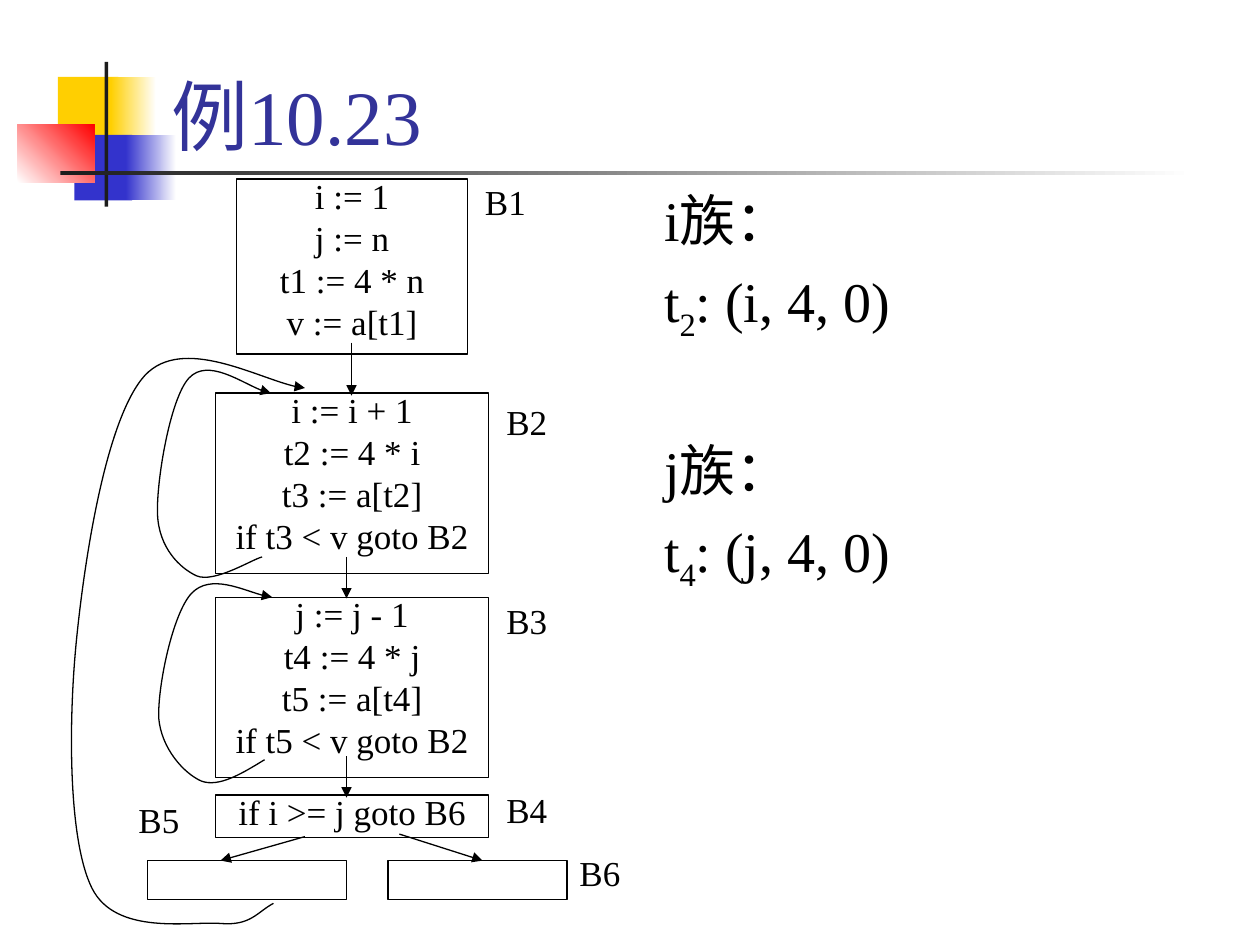
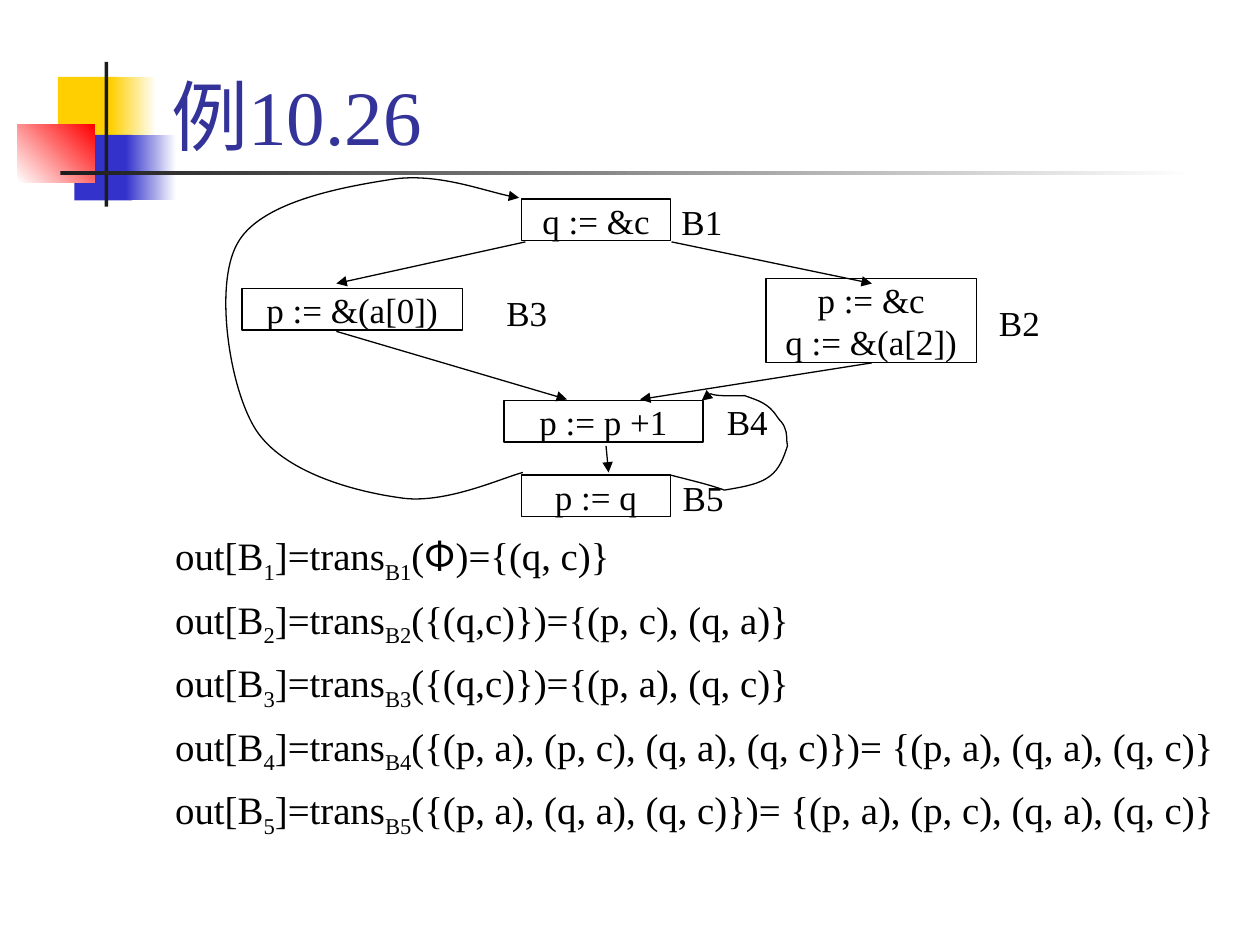
from dataclasses import dataclass
from itertools import groupby

from lxml import etree
from pptx import Presentation
from pptx.dml.color import RGBColor
from pptx.enum.shapes import MSO_CONNECTOR, MSO_SHAPE
from pptx.enum.text import MSO_ANCHOR, MSO_AUTO_SIZE, PP_ALIGN
from pptx.oxml.ns import qn
from pptx.util import Inches, Pt

RECTANGLE = MSO_SHAPE.RECTANGLE
STRAIGHT = MSO_CONNECTOR.STRAIGHT
LEFT, CENTER = PP_ALIGN.LEFT, PP_ALIGN.CENTER
TOP, BOTTOM = MSO_ANCHOR.TOP, MSO_ANCHOR.BOTTOM
NO_FIT = MSO_AUTO_SIZE.NONE
COLUMNS, ROWS = 100, 75
TITLE_AREA = (12.6, 0.8, 85.2, 12.5)
HANGING_INDENT = Inches(0.38)


@dataclass(frozen=True)
class Theme:
    latin: str = "Times New Roman"
    asian: str = "Noto Sans CJK SC"
    ink: str = "000000"
    title: str = "333399"
    paper: str = "FFFFFF"
    yellow: str = "FFCF01"
    blue: str = "3333CC"
    red: str = "FF0000"
    bar: str = "1C1C1C"
    title_size: float = 44
    family_size: float = 32
    equation_size: float = 22.2
    code_size: float = 20
    line_width: float = 0.75


THEME = Theme()
TIGHT = {"line_spacing": 0.9, "space_before": Pt(2.5)}
PLAIN = {"line_spacing": 1.0, "space_before": Pt(0)}
NO_MARGINS = dict.fromkeys(
    ("margin_left", "margin_top", "margin_right", "margin_bottom"), 0)


def assign(target, values):
    for attribute, value in values.items():
        setattr(target, attribute, value)


def rgb(value):
    return RGBColor.from_string(value)


class Deck:
    def __init__(self, theme):
        self.theme = theme
        self.file = Presentation()
        assign(self.file, {"slide_width": Inches(10), "slide_height": Inches(7.5)})
        self.layout = self.file.slide_layouts[1]
        self.place(self.layout.placeholders[0], TITLE_AREA)
        self.slide = None

    def x(self, column):
        return round(self.file.slide_width * column / COLUMNS)

    def y(self, row):
        return round(self.file.slide_height * row / ROWS)

    def point(self, column, row):
        return self.x(column), self.y(row)

    def area(self, left, top, width, height):
        return self.point(left, top) + self.point(width, height)

    def place(self, shape, area):
        assign(shape, dict(zip(("left", "top", "width", "height"), self.area(*area))))

    def new_slide(self, title):
        self.slide = self.file.slides.add_slide(self.layout)
        frame = self.slide.shapes.title.text_frame
        assign(frame, {"vertical_anchor": BOTTOM, "auto_size": NO_FIT})
        frame.paragraphs[0].alignment = LEFT
        self.add_runs(frame.paragraphs[0], title, self.theme.title_size, self.theme.title)

    def add_runs(self, paragraph, text, size, color=None):
        for index, part in enumerate(text.split("|")):
            for symbolic, letters in groupby(part, lambda letter: letter == "Φ"):
                run = paragraph.add_run()
                run.text = "".join(letters)
                face = self.theme.asian if symbolic else self.theme.latin
                assign(run.font, {"size": Pt(size), "name": face})
                run.font.color.rgb = rgb(color or self.theme.ink)
                properties = run.font._element
                etree.SubElement(properties, qn("a:ea"), typeface=self.theme.asian)
                if index % 2:
                    properties.set("baseline", "-25000")

    def fill_frame(self, frame, lines, size, spacing, alignment):
        for index, line in enumerate(lines):
            paragraph = frame.add_paragraph() if index else frame.paragraphs[0]
            assign(paragraph, {"alignment": alignment, **spacing})
            if not index:
                paragraph.space_before = Pt(0)
            self.add_runs(paragraph, line, size)

    def body(self, area, lines, size, spacing):
        holder = self.slide.placeholders[1]
        self.place(holder, area)
        frame = holder.text_frame
        assign(frame, {"auto_size": NO_FIT, "vertical_anchor": TOP, "word_wrap": True})
        self.fill_frame(frame, lines, size, spacing, LEFT)
        for paragraph in frame.paragraphs:
            properties = paragraph._p.get_or_add_pPr()
            properties.set("marL", str(HANGING_INDENT))
            properties.set("indent", str(-HANGING_INDENT))
            etree.SubElement(properties, qn("a:buNone"))
        return frame

    def outline(self, shape, arrow=False):
        shape.line.color.rgb = rgb(self.theme.ink)
        shape.line.width = Pt(self.theme.line_width)
        if arrow:
            etree.SubElement(shape.line._get_or_add_ln(), qn("a:tailEnd"), type="triangle")

    def block(self, area, lines=(), spacing=PLAIN):
        shape = self.slide.shapes.add_shape(RECTANGLE, *self.area(*area))
        shape.shadow.inherit = False
        shape.fill.background()
        self.outline(shape)
        assign(shape.text_frame, {**NO_MARGINS, "vertical_anchor": TOP, "word_wrap": True})
        self.fill_frame(shape.text_frame, lines, self.theme.code_size, spacing, CENTER)

    def label(self, text, column, row):
        box = self.slide.shapes.add_textbox(*self.area(column, row, 5.8, 4.4))
        box.text_frame.word_wrap = True
        self.fill_frame(box.text_frame, [text], self.theme.code_size, TIGHT, LEFT)

    def arrow(self, start, end):
        line = self.slide.shapes.add_connector(STRAIGHT, *self.point(*start), *self.point(*end))
        self.outline(line, arrow=True)
        etree.SubElement(line._element.spPr, qn("a:effectLst"))

    def curve(self, start, *controls):
        builder = self.slide.shapes.build_freeform(*self.point(*start))
        builder.add_line_segments([self.point(*spot) for spot in controls], close=False)
        shape = builder.convert_to_shape()
        geometry = shape._element.find(".//" + qn("a:path"))
        segments = geometry.findall(qn("a:lnTo"))
        for first in range(0, len(segments), 3):
            bezier = etree.SubElement(geometry, qn("a:cubicBezTo"))
            for segment in segments[first:first + 3]:
                bezier.append(segment[0])
                geometry.remove(segment)
        shape.shadow.inherit = False
        shape.fill.background()
        self.outline(shape, arrow=True)

    def master_band(self, depth, area, colors, angle=0):
        band = self.slide.shapes.add_shape(RECTANGLE, *self.area(*area))
        band.shadow.inherit = False
        band.line.fill.background()
        if len(colors) == 1:
            band.fill.solid()
            band.fill.fore_color.rgb = rgb(colors[0])
        else:
            band.fill.gradient()
            band.fill.gradient_angle = angle
            for stop, color in zip(band.fill.gradient_stops, colors):
                stop.color.rgb = rgb(color)
        self.file.slide_master.shapes.element.insert(2 + depth, band._element)


def decorate(deck):
    theme = deck.theme
    bands = (
        ((4.6, 6.1, 4.8, 5.2), (theme.yellow,)),
        ((8.8, 6.1, 3.6, 5.2), (theme.yellow, theme.paper)),
        ((5.9, 10.7, 4.6, 5.2), (theme.blue,)),
        ((10, 10.7, 4, 5.2), (theme.blue, theme.paper)),
        ((1.4, 9.9, 6.1, 4.6), (theme.paper, theme.red), 45),
        ((8.3, 4.9, 0.3, 11.5), (theme.bar,)),
        ((4.8, 13.6, 90, 0.3), (theme.bar, theme.paper)),
    )
    for depth, band in enumerate(bands):
        deck.master_band(depth, *band)


def induction_slide(deck):
    deck.new_slide("例10.23")
    decorate(deck)
    families = deck.body(
        (51.7, 14.2, 45.8, 52.5),
        ["i族：", "t|2|: (i, 4, 0)", "j族：", "t|4|: (j, 4, 0)"],
        deck.theme.family_size, {"space_before": Pt(8)})
    families.paragraphs[2].space_before = Pt(53)

    loop_left, loop_width = 17.1, 21.7
    deck.block((18.8, 14.2, 18.3, 13.9),
               ["i := 1", "j := n", "t1 := 4 * n", "v := a[t1]"], TIGHT)
    loop_blocks = (
        (31.2, 14.3, ["i := i + 1", "t2 := 4 * i", "t3 := a[t2]", "if t3 < v goto B2"]),
        (47.4, 14.3, ["j := j - 1", "t4 := 4 * j", "t5 := a[t4]", "if t5 < v goto B2"]),
        (63.1, 3.4, ["if i >= j goto B6"]),
    )
    for top, height, code in loop_blocks:
        deck.block((loop_left, top, loop_width, height), code, TIGHT)
    for left, width in ((11.7, 15.8), (30.8, 14.2)):
        deck.block((left, 68.3, width, 3.1))

    for name, column, row in (("B1", 37.5, 14.2), ("B2", 39.2, 31.7), ("B3", 39.2, 47.5),
                              ("B4", 39.2, 62.5), ("B5", 10, 63.3), ("B6", 45, 67.5)):
        deck.label(name, column, row)

    for start, end in (((27.9, 27.2), (27.9, 31.4)), ((27.5, 44.2), (27.5, 47.5)),
                       ((27.5, 60), (27.5, 63.3)), ((24.2, 66.4), (17.5, 68.3)),
                       ((31.7, 66.2), (38.3, 68.3))):
        deck.arrow(start, end)

    deck.curve((21.7, 71.7), (20.4, 72.4), (19.9, 73.5), (17.5, 73.3),
               (15.1, 73.1), (9.2, 74.3), (7.3, 70.5), (5.4, 66.7), (5.4, 57.2), (6.1, 50.5),
               (6.8, 43.7), (8.5, 33.1), (11.5, 29.8), (14.5, 26.6), (21.5, 30.6), (24.2, 30.8))
    deck.curve((20.8, 44.2), (20, 44.4), (17, 46.3), (15.6, 45.7),
               (14.3, 45.1), (12.6, 43.5), (12.5, 40.8), (12.4, 38.2), (13.5, 31.6), (15, 30),
               (16.5, 28.4), (20.1, 31), (21.5, 31.2))
    deck.curve((21, 60.3), (19.2, 61.4), (17.4, 62.5), (16, 62),
               (14.6, 61.4), (12.8, 59.4), (12.6, 57), (12.5, 54.5), (13.7, 48.7), (15.2, 47.1),
               (16.7, 45.5), (20.3, 47.3), (21.6, 47.4))


def pointer_slide(deck):
    deck.new_slide("例10.26")
    transfers = (
        "(Φ)={(q, c)}",
        "({(q,c)})={(p, c), (q, a)}",
        "({(q,c)})={(p, a), (q, c)}",
        "({(p, a), (p, c), (q, a), (q, c)})= {(p, a), (q, a), (q, c)}",
        "({(p, a), (q, a), (q, c)})= {(p, a), (p, c), (q, a), (q, c)}",
    )
    equations = [f"out[B|{number}|]=trans|B{number}|{transfer}"
                 for number, transfer in enumerate(transfers, 1)]
    deck.body((12.9, 41.7, 85, 32.5), equations,
              deck.theme.equation_size, {"space_before": Pt(6)})

    for area, code in (((41.4, 15.8, 11.8, 3.3), ["q := &c"]),
                       ((60.8, 22.1, 16.7, 6.7), ["p := &c", "q := &(a[2])"]),
                       ((19.2, 22.9, 17.5, 3.3), ["p := &(a[0])"]),
                       ((40, 31.8, 15.8, 3.3), ["p := p +1"]),
                       ((41.4, 37.7, 11.8, 3.3), ["p := q"])):
        deck.block(area, code)

    for name, column, row in (("B1", 53.1, 15.8), ("B2", 78.3, 23.8), ("B3", 39.2, 23),
                              ("B4", 56.7, 31.7), ("B5", 53.2, 37.7)):
        deck.label(name, column, row)

    for start, end in (((53.3, 19.2), (69.2, 22.5)), ((69.2, 28.8), (50.8, 31.7)),
                       ((48.1, 35.4), (48.3, 37.5)), ((41.7, 19.2), (26.7, 22.5)),
                       ((26.7, 26.3), (45, 31.7))):
        deck.arrow(start, end)

    deck.curve((41.5, 37.5), (39.9, 37.9), (35.2, 40.1), (31.7, 39.5),
               (28.1, 39), (22.5, 37.5), (20.3, 34.1), (18.2, 30.8), (17, 22.7), (18.8, 19.4),
               (20.5, 16.1), (26.9, 14.9), (30.7, 14.3), (34.4, 13.6), (39, 15.4), (41.2, 15.7))
    deck.curve((53.2, 37.7), (54.7, 38.1), (56.1, 38.4), (57.5, 38.9),
               (58.6, 38.7), (60.2, 38.5), (61.1, 37.8), (61.9, 37.2), (62.2, 36.3), (62.5, 35.4),
               (62.4, 34.9), (62.5, 34.4), (62.3, 34), (62.2, 33.6), (61.9, 33.4), (61.7, 33.1),
               (61, 32), (60.2, 31.8), (59.1, 31.4), (55.9, 31.5), (56.8, 30.8), (55.7, 31.8))


def main():
    deck = Deck(THEME)
    induction_slide(deck)
    pointer_slide(deck)
    deck.file.save("out.pptx")


if __name__ == "__main__":
    main()
